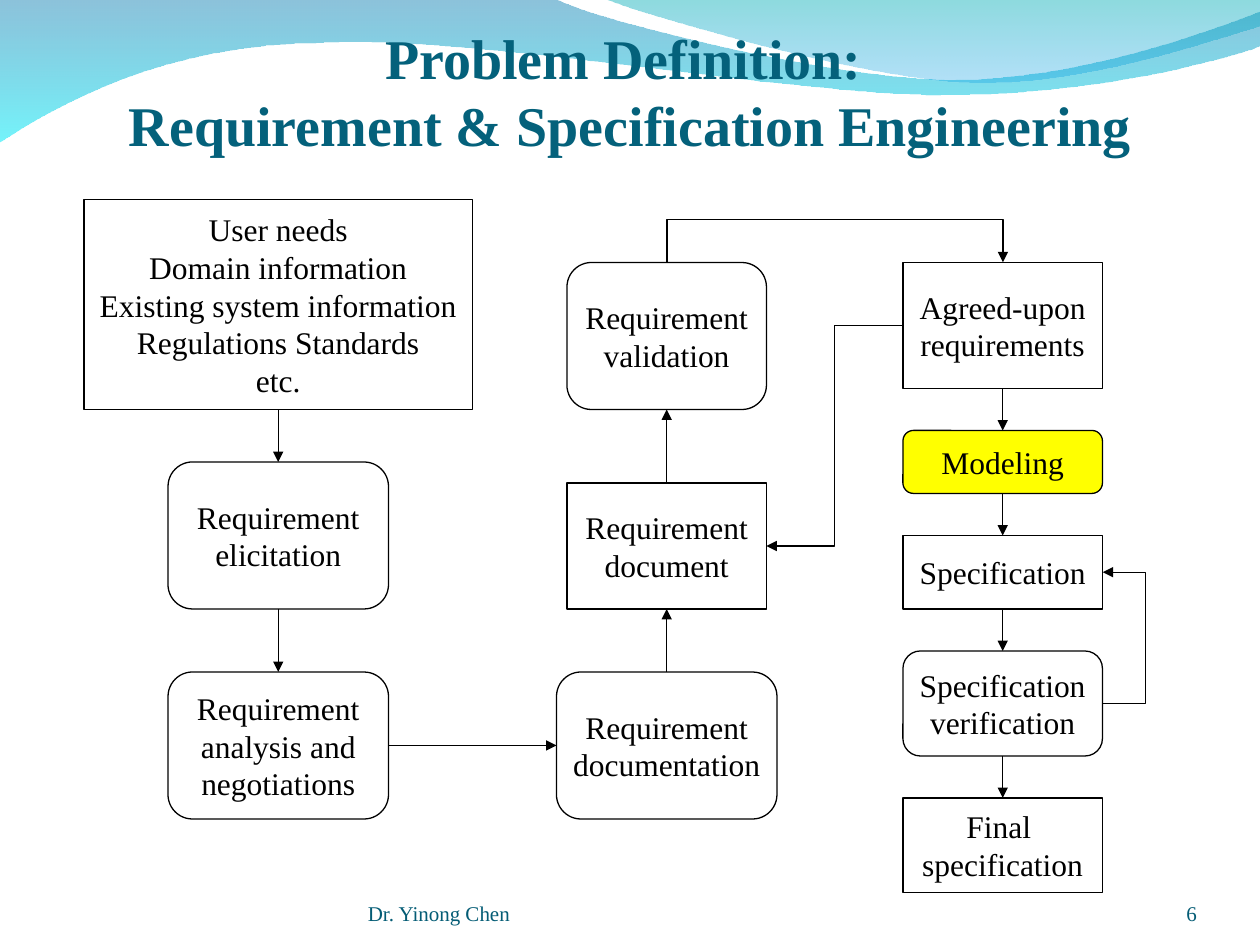
from lxml import etree
from pptx import Presentation
from pptx.dml.color import RGBColor
from pptx.enum.shapes import MSO_CONNECTOR, MSO_SHAPE
from pptx.enum.text import MSO_ANCHOR, PP_ALIGN
from pptx.oxml.ns import qn
from pptx.util import Inches, Pt

RECTANGLE = MSO_SHAPE.RECTANGLE
ROUNDED = MSO_SHAPE.FLOWCHART_ALTERNATE_PROCESS
STRAIGHT, ELBOW = MSO_CONNECTOR.STRAIGHT, MSO_CONNECTOR.ELBOW
LEFT, CENTER, RIGHT = PP_ALIGN.LEFT, PP_ALIGN.CENTER, PP_ALIGN.RIGHT
MIDDLE, BOTTOM = MSO_ANCHOR.MIDDLE, MSO_ANCHOR.BOTTOM

FONT = "Times New Roman"
BLACK, WHITE, YELLOW = "000000", "FFFFFF", "FFFF00"
TITLE_COLOR, FOOTER_COLOR = "04617B", "045C75"
GRID = 1 / 12  # grid unit in inches
LOOP_REACH = 4  # how far a loop bends out, in grid units
LOOP_THICKNESS = 1 / 36  # an elbow needs some width to bend out from

# Each column: centre, then steps in flow order (shape, top, width, height, fill, lines)
COLUMNS = [
    (18.5, [
        (RECTANGLE, 0, 37, 20, WHITE, ["User needs", "Domain information", "Existing system information",
                                       "Regulations Standards", "etc."]),
        (ROUNDED, 25, 21, 14, WHITE, ["Requirement", "elicitation"]),
        (ROUNDED, 45, 21, 14, WHITE, ["Requirement", "analysis and", "negotiations"]),
    ]),
    (55.5, [
        (ROUNDED, 45, 21, 14, WHITE, ["Requirement", "documentation"]),
        (RECTANGLE, 27, 19, 12, WHITE, ["Requirement", "document"]),
        (ROUNDED, 6, 19, 14, WHITE, ["Requirement", "validation"]),
    ]),
    (87.5, [
        (RECTANGLE, 6, 19, 12, WHITE, ["Agreed-upon", "requirements"]),
        (ROUNDED, 22, 19, 6, YELLOW, ["Modeling"]),
        (RECTANGLE, 32, 19, 7, WHITE, ["Specification"]),
        (ROUNDED, 43, 19, 10, WHITE, ["Specification", "verification"]),
        (RECTANGLE, 57, 19, 9, WHITE, ["Final ", "specification"]),
    ]),
]

# Waves in inches: one point makes a line, three make a curve
LARGE_WAVE = [[(0, -0.01)], [(4.4, -0.01)], [(4.76, 0.17), (6.64, 0.63), (7.58, 0.63)],
              [(8.53, 0.63), (9.58, 0.26), (10, 0.09)], [(10.01, 0.36)],
              [(9.83, 0.44), (8.7, 0.76), (7.46, 0.75)], [(6.22, 0.75), (3.82, 0.28), (2.57, 0.34)],
              [(1.29, 0.35), (0.46, 0.83), (-0.01, 1.13)]]
SMALL_WAVE = [[(4.79, -0.01)], [(5.09, 0.11), (6.82, 0.62), (7.69, 0.65)],
              [(8.56, 0.69), (9.61, 0.32), (10, 0.21)], [(10, 0)]]


def color(hex_value):
    return RGBColor.from_string(hex_value)


def write_text(shape, lines, size=18, hex_value=BLACK, bold=False, align=CENTER, anchor=MIDDLE,
               margins=(0.1, 0.05, 0.1, 0.05), wrap=False):
    frame = shape.text_frame
    frame.word_wrap = wrap
    frame.vertical_anchor = anchor
    frame.margin_left, frame.margin_top, frame.margin_right, frame.margin_bottom = map(Inches, margins)
    frame.text = "\n".join(lines)
    for paragraph in frame.paragraphs:
        paragraph.alignment = align
        for run in paragraph.runs:
            font = run.font
            font.name, font.size, font.bold = FONT, Pt(size), bold
            font.color.rgb = color(hex_value)


def place(shape, left, top, width, height):
    shape.left, shape.top, shape.width, shape.height = map(Inches, (left, top, width, height))


def add_wave(slide, outline, stops):
    corners = [tuple(map(Inches, segment[-1])) for segment in outline]
    builder = slide.shapes.build_freeform(*corners[0])
    builder.add_line_segments(corners[1:], close=True)
    shape = builder.convert_to_shape()
    shape.shadow.inherit = False
    shape.line.fill.background()

    # Bend the lines that have control points
    lines = list(shape._element.iter(qn("a:lnTo")))
    for line, segment in zip(lines, outline[1:]):
        if len(segment) == 3:
            line_parent = line.getparent()
            curve = etree.Element(qn("a:cubicBezTo"))
            for x, y in segment:
                etree.SubElement(curve, qn("a:pt"), x=str(Inches(x) - shape.left), y=str(Inches(y) - shape.top))
            line_parent.replace(line, curve)

    # Translucent gradient from top to bottom
    shape.fill.gradient()
    shape.fill.gradient_angle = 270
    for stop, (position, hex_value, _) in zip(shape.fill.gradient_stops, stops):
        stop.position = position
        stop.color.rgb = color(hex_value)
    for element, (_, _, opacity) in zip(shape._element.spPr.iter(qn("a:srgbClr")), stops):
        etree.SubElement(element, qn("a:alpha"), val=str(opacity * 1000))
    return shape


def add_background(slide):
    waves = [add_wave(slide, LARGE_WAVE, [(0, "0079AF", 45), (1, "00EBF8", 55)]),
             add_wave(slide, SMALL_WAVE, [(0, "00ADB6", 45), (1, "009BE5", 30)])]
    # Send the waves behind the title
    for index, wave in enumerate(waves):
        slide.shapes._spTree.insert(2 + index, wave._element)


def add_title(slide, box):
    title = slide.shapes.title
    place(title, *box)
    write_text(title, ["Problem Definition: \vRequirement & Specification Engineering"], size=32,
               hex_value=TITLE_COLOR, bold=True, anchor=BOTTOM, margins=(0, 0.05, 0, 0), wrap=True)


def add_flow_chart(slide, left, top):
    """Flow chart whose parts are in grid units from its left top corner."""
    def on_grid(x, y):
        return Inches((left + x) * GRID), Inches((top + y) * GRID)

    def add_arrow(start, end, kind=STRAIGHT):
        connector = slide.shapes.add_connector(kind, *on_grid(*start), *on_grid(*end))
        connector.line.color.rgb = color(BLACK)
        connector.line.width = Pt(0.75)
        etree.SubElement(connector.line._get_or_add_ln(), qn("a:tailEnd"), type="triangle")
        etree.SubElement(connector._element.spPr, qn("a:effectLst"))
        return connector

    def add_loop(start, end, rotation=0):
        """Elbow that bends out past its own ends."""
        properties = add_arrow(start, end, ELBOW)._element.spPr
        properties.find(qn("a:xfrm")).set("rot", str(rotation * 60000))
        adjustments = properties.find(qn("a:prstGeom")).find(qn("a:avLst"))
        bend = round(LOOP_REACH / LOOP_THICKNESS * 100000)
        etree.SubElement(adjustments, qn("a:gd"), name="adj1", fmla=f"val {bend}")

    # Steps, with an arrow from each to the next in its column
    for center, steps in COLUMNS:
        for kind, step_top, width, height, fill, lines in steps:
            size = Inches(width * GRID), Inches(height * GRID)
            shape = slide.shapes.add_shape(kind, *on_grid(center - width / 2, step_top), *size)
            shape.shadow.inherit = False
            shape.fill.solid()
            shape.fill.fore_color.rgb = color(fill)
            shape.line.color.rgb = color(BLACK)
            shape.line.width = Pt(0.75)
            write_text(shape, lines)
        for (_, y1, _, height1, *_), (_, y2, _, height2, *_) in zip(steps, steps[1:]):
            start, end = (y1 + height1, y2) if y2 > y1 else (y1, y2 + height2)
            add_arrow((center, start), (center, end))

    # Links between columns and back to earlier steps
    add_arrow((29, 52), (45, 52), ELBOW)
    add_arrow((78, 12), (65, 33), ELBOW)
    add_loop((97, 48), (97 + LOOP_THICKNESS, 35.5))
    # Upright loop, turned a quarter about its centre to span two columns
    add_loop((71.5 + LOOP_THICKNESS, 22), (71.5, -10), rotation=90)


def add_footer(slide, top, height):
    for text, left, width, align in [("Dr. Yinong Chen", 2.92, 3.67, LEFT), ("6", 8.67, 0.83, RIGHT)]:
        box = slide.shapes.add_textbox(*map(Inches, (left, top, width, height)))
        write_text(box, [text], size=12, hex_value=FOOTER_COLOR, align=align, anchor=BOTTOM,
                   margins=(0, 0, 0, 0), wrap=True)


def main():
    presentation = Presentation()
    presentation.slide_width, presentation.slide_height = Inches(10), Inches(7.5)
    slide = presentation.slides.add_slide(presentation.slide_layouts[5])
    add_background(slide)
    add_title(slide, (0.42, 0.17, 9.17, 1.08))
    add_flow_chart(slide, left=8, top=19)
    add_footer(slide, top=6.95, height=0.4)
    presentation.save("out.pptx")


if __name__ == "__main__":
    main()
